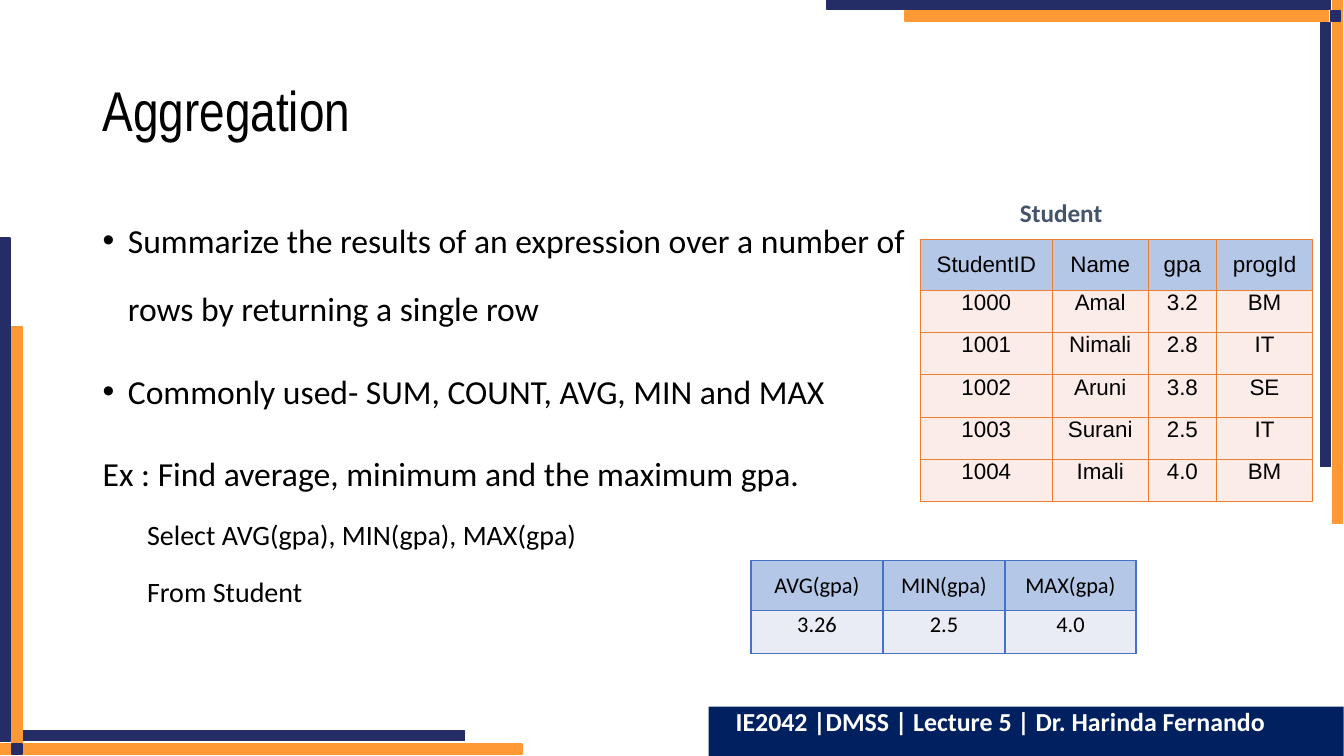
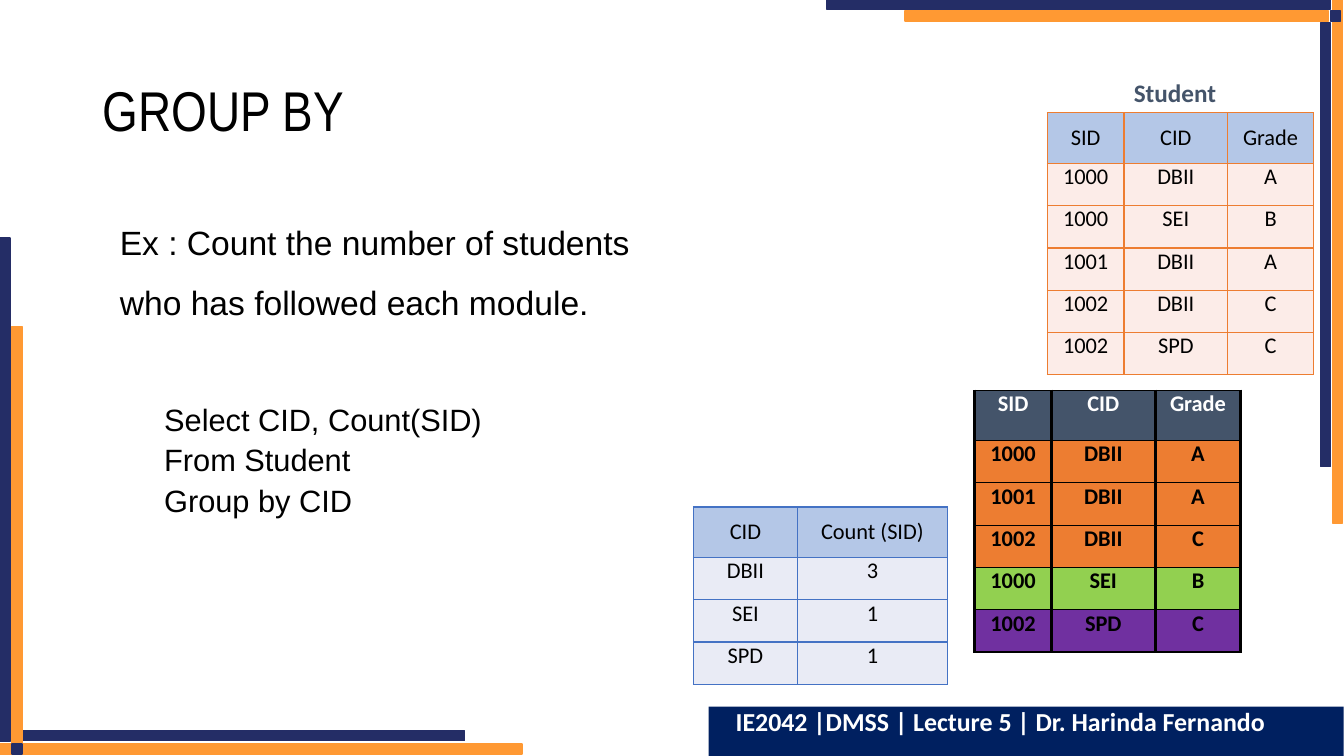
from lxml.etree import SubElement as Sub
from pptx import Presentation as Deck
from pptx.dml.color import RGBColor as RGB
from pptx.enum.shapes import MSO_SHAPE as Shape
from pptx.enum.text import MSO_ANCHOR as Anchor, PP_ALIGN as Align
from pptx.oxml.ns import qn
from pptx.util import Inches, Pt

HEX = {
    "white": "FFFFFF", "black": "000000", "navy": "242D66", "amber": "FF9933",
    "foot": "002060", "slate": "44546A", "head": "B4C7E7", "rose": "FCECE8",
    "mist": "E9EBF5", "orange": "ED7D31", "blue": "4472C4",
    "green": "92D050", "purple": "7030A0",
}
COLS, ROWS = 133.33, 75
BANDS = [
    ("amber", 132.2, -0.1, 1, 52),
    ("navy", 131, 2.3, 1, 44),
    ("navy", 82, -0.1, 50, 1),
    ("amber", 89.8, 1.1, 42, 1),
    ("navy", 132, 1.1, 1, 1),
    ("amber", -0.2, 73.8, 52, 1),
    ("navy", 2.1, 72.5, 44, 1),
    ("navy", 0, 23.6, 1, 50),
    ("amber", 1.2, 32.4, 1, 42),
    ("navy", 1.2, 73.8, 1, 1),
]
FOOT = "IE2042 |DMSS | Lecture 5 | Dr. Harinda Fernando"


def grid(*cells):
    return [Inches(n / 10) for n in cells]


def tone(name):
    return RGB.from_string(HEX[name])


class Pen:
    head_row, body_row = 5, 4.2

    def __init__(self):
        self.deck = Deck()
        self.deck.slide_width, self.deck.slide_height = grid(COLS, ROWS)

    def page(self, title):
        self.slide = self.deck.slides.add_slide(self.deck.slide_layouts[6])
        for hue, *box in BANDS:
            self.block(hue, box, edge=True)
        frame = self.box(9.2, 4, 115, 14.5, mid=True)
        self.para(frame, title, 40, "Arial Narrow", gap=0.9)

    def block(self, hue, box, edge=False):
        item = self.slide.shapes.add_shape(Shape.RECTANGLE, *grid(*box))
        item.shadow.inherit = False
        item.fill.solid()
        item.fill.fore_color.rgb = tone(hue)
        if edge:
            item.line.color.rgb = tone(hue)
            item.line.width = Pt(1)
        else:
            item.line.fill.background()
        return item

    def box(self, *place, wrap=True, mid=False):
        frame = self.slide.shapes.add_textbox(*grid(*place)).text_frame
        frame.word_wrap = wrap
        frame.vertical_anchor = Anchor.MIDDLE if mid else Anchor.TOP
        return frame

    def para(self, frame, text, size, font="Calibri", hue="black", bold=False,
             gap=None, above=0, left=0, dot=False, align=Align.LEFT):
        first = frame.paragraphs[0]
        par = frame.add_paragraph() if first.runs else first
        props = par._p.get_or_add_pPr()
        if dot:
            left = 2.5
            props.set("indent", str(-Inches(left / 10)))
            Sub(props, qn("a:buFont"), typeface="Arial")
            Sub(props, qn("a:buChar"), char="•")
        props.set("marL", str(Inches(left / 10)))
        par.alignment = align
        par.space_before = Pt(above)
        if gap:
            par.line_spacing = gap
        run = par.add_run()
        run.text = text
        run.font.size, run.font.name, run.font.bold = Pt(size), font, bold
        run.font.color.rgb = tone(hue)

    def label(self, x, y):
        frame = self.box(x, y, 10.3, 4, wrap=False)
        self.para(frame, "Student", 18, hue="slate", bold=True)

    def edge(self, cell, hue, side):
        props = cell._tc.get_or_add_tcPr()
        for tag, width in (("lnL", side), ("lnR", side), ("lnT", 1), ("lnB", 1)):
            line = Sub(props, qn(f"a:{tag}"), w=str(Pt(width)))
            fill = Sub(line, qn("a:solidFill"))
            Sub(fill, qn("a:srgbClr"), val=HEX[hue])

    def table(self, x, y, wide, data, fills, rule, font="Calibri", side=1,
              ink="black", bold=False, mid=True):
        rows = [line.split("|") for line in data]
        highs = [self.head_row] + [self.body_row] * (len(rows) - 1)
        place = grid(x, y, sum(wide), sum(highs))
        table = self.slide.shapes.add_table(len(rows), len(wide), *place).table
        table.first_row = table.horz_banding = False
        for col, size in zip(table.columns, grid(*wide)):
            col.width = size
        for r, (row, high) in enumerate(zip(rows, grid(*highs))):
            table.rows[r].height = high
            for c, text in enumerate(row):
                cell = table.cell(r, c)
                self.edge(cell, rule, side)
                cell.fill.solid()
                cell.fill.fore_color.rgb = tone(fills[min(r, len(fills) - 1)])
                cell.margin_top = cell.margin_bottom = 0
                top = r == 0
                cell.vertical_anchor = Anchor.MIDDLE if top and mid else Anchor.TOP
                self.para(cell.text_frame, text, 16, font, ink if top else "black",
                          bold, align=Align.CENTER)

    def foot(self):
        item = self.block("foot", (70.3, 70.1, 63, 4.9))
        item.text_frame.vertical_anchor = Anchor.TOP
        self.para(item.text_frame, FOOT, 18.5, hue="white", bold=True,
                  gap=0.8, left=1.7)


def total(pen):
    pen.page("Aggregation")
    body = pen.box(9.2, 18.5, 81.9, 54.2)
    pen.para(body, "Summarize the results of an expression over a number of rows "
             "by returning a single row", 24, gap=1.7, dot=True)
    pen.para(body, "Commonly used- SUM, COUNT, AVG, MIN and MAX", 24,
             gap=1.7, above=10, dot=True)
    pen.para(body, "Ex : Find average, minimum and the maximum gpa.", 24,
             gap=0.9, above=33)
    for text in ("Select AVG(gpa), MIN(gpa), MAX(gpa)", "From Student"):
        pen.para(body, text, 20, gap=1.5, above=5, left=4.4)
    pen.table(91.3, 23.8, (13.1, 9.5, 6.8, 9.5), [
        "StudentID|Name|gpa|progId",
        "1000|Amal|3.2|BM",
        "1001|Nimali|2.8|IT",
        "1002|Aruni|3.8|SE",
        "1003|Surani|2.5|IT",
        "1004|Imali|4.0|BM",
    ], ["head", "rose"], "orange", "Arial")
    pen.label(100.2, 19.1)
    pen.table(74.5, 55.6, (13.1, 12.1, 13), [
        "AVG(gpa)|MIN(gpa)|MAX(gpa)",
        "3.26|2.5|4.0",
    ], ["head", "mist"], "blue")
    pen.foot()


def group(pen):
    pen.page("GROUP BY")
    body = pen.box(10.9, 19.5, 57.2, 45)
    pen.para(body, "Ex : Count the number of students who has followed each module.",
             24, "Arial", gap=1.5)
    query = ("Select CID, Count(SID)", "From Student", "Group by CID")
    for text, above in zip(query, (59, 5, 5)):
        pen.para(body, text, 22, "Arial", gap=0.9, above=above, left=4.4)
    head, wide = "SID|CID|Grade", (7.6, 10.3, 8.5)
    pen.table(103.9, 11.2, wide, [
        head, "1000|DBII|A", "1000|SEI|B", "1001|DBII|A", "1002|DBII|C", "1002|SPD|C",
    ], ["head", "rose"], "orange")
    pen.table(68.8, 50.3, (10.3, 14.9), [
        "CID|Count (SID)", "DBII|3", "SEI|1", "SPD|1",
    ], ["head", "mist"], "blue")
    pen.table(96.7, 38.7, wide, [
        head, "1000|DBII|A", "1001|DBII|A", "1002|DBII|C", "1000|SEI|B", "1002|SPD|C",
    ], ["slate", *["orange"] * 3, "green", "purple"], "black",
        side=2.25, ink="white", bold=True, mid=False)
    pen.label(111.5, 7.2)
    pen.foot()


def main():
    pen = Pen()
    total(pen)
    group(pen)
    pen.deck.save("out.pptx")


if __name__ == "__main__":
    main()
